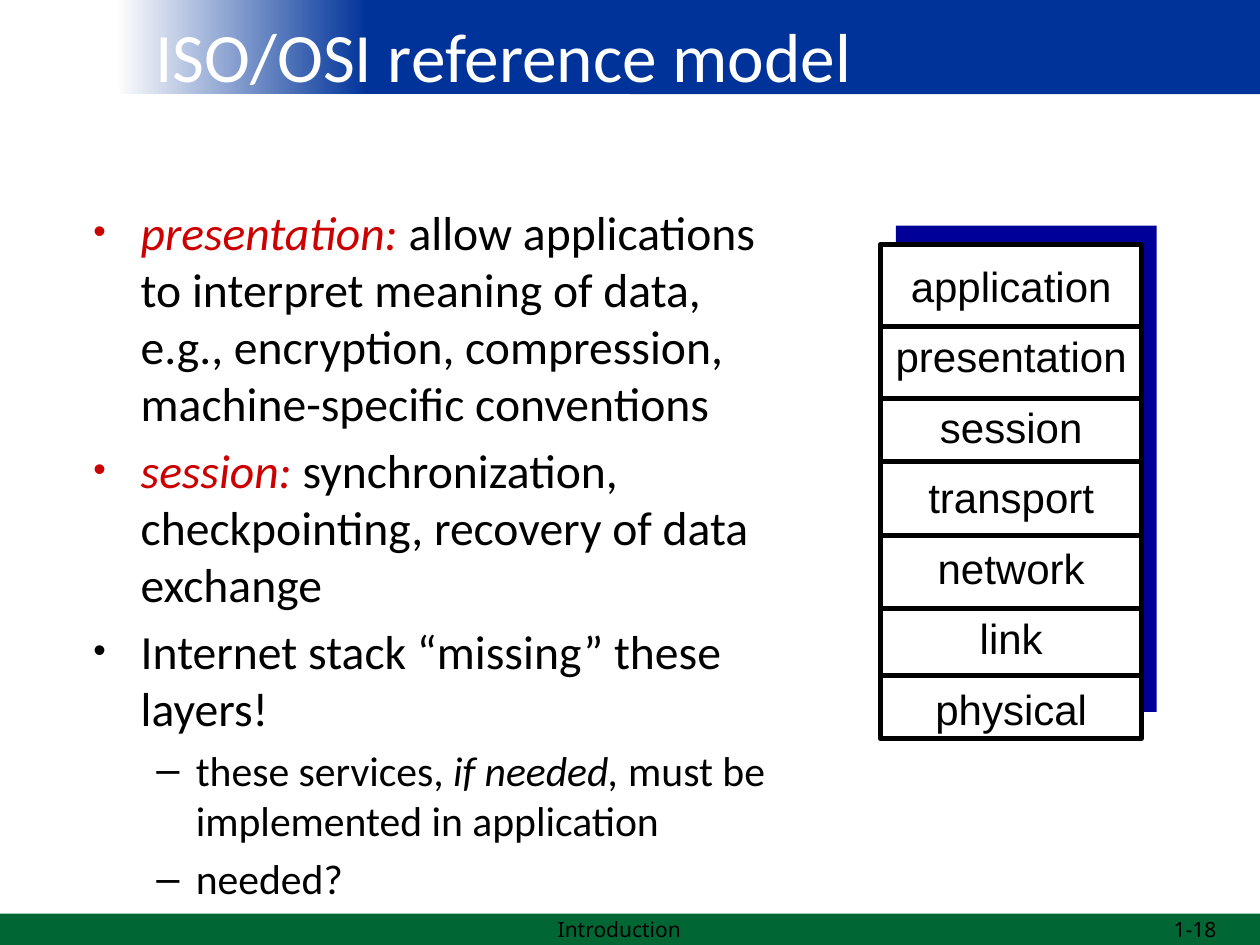
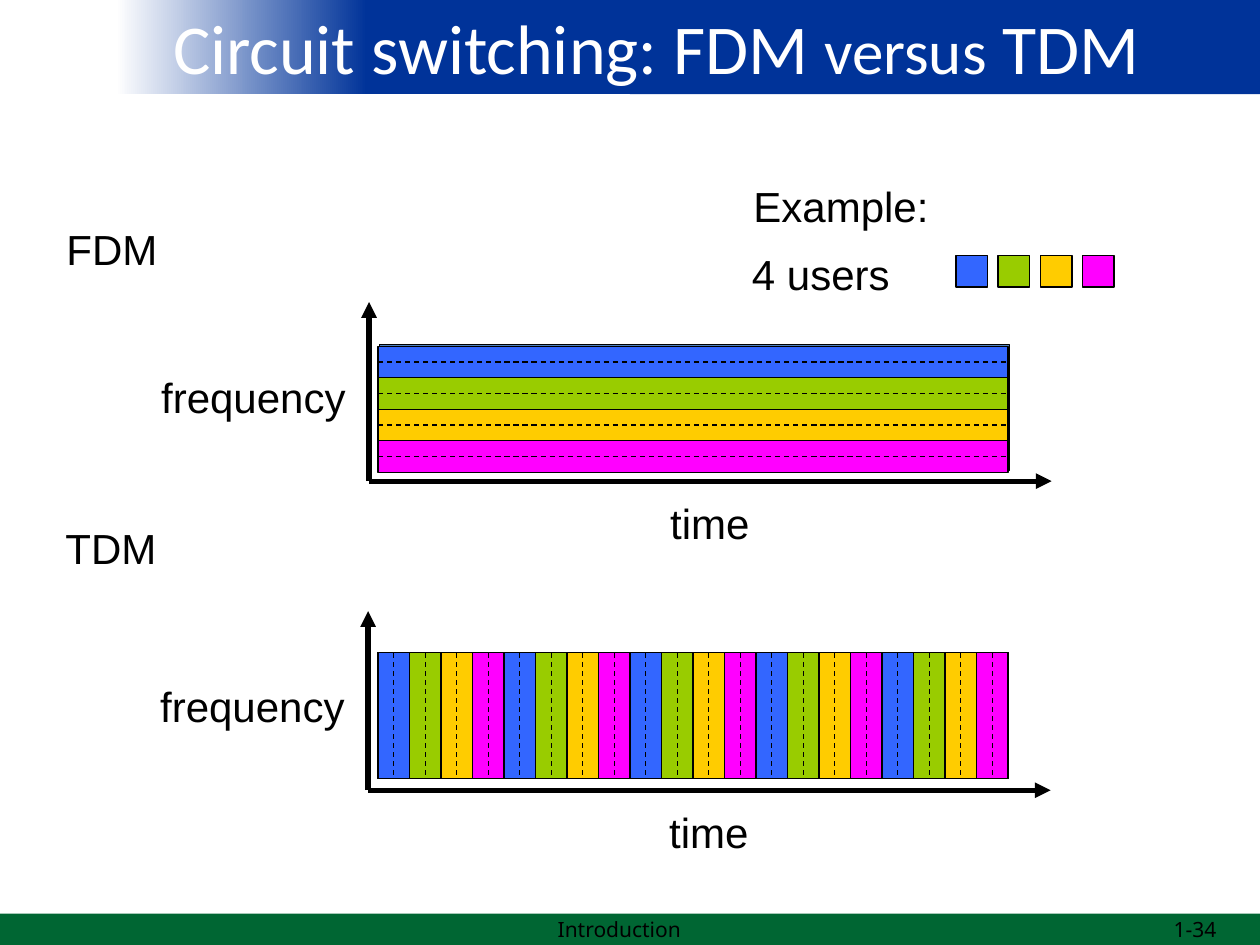
import pptx
import pptx.dml.color
import pptx.enum.dml
import pptx.enum.shapes
import pptx.enum.text
import pptx.oxml.ns
import pptx.util
import lxml.etree

Cm = pptx.util.Cm
Pt = pptx.util.Pt
qn = pptx.oxml.ns.qn
colour = pptx.dml.color.RGBColor.from_string
ALIGN = pptx.enum.text.PP_ALIGN
ANCHOR = pptx.enum.text.MSO_ANCHOR

BLACK = "000000"
WHITE = "FFFFFF"
BAND_BLUE = "003399"
BAND_GREEN = "006633"
SHADOW_BLUE = "000099"
TERM_RED = "CC0000"
PLOT_BLUE = "4F81BD"
USERS = ["3366FF", "99CC00", "FFCC00", "FF00FF"]
TITLE_FONT = "Calibri"
LABEL_FONT = "Arial"
FOOTER_FONT = "Noto Sans"


def draw_box(slide, left, top, width, height, fill, line_width=0):
    box = slide.shapes.add_shape(pptx.enum.shapes.MSO_SHAPE.RECTANGLE,
                                 Cm(left), Cm(top), Cm(width), Cm(height))
    box.shadow.inherit = False
    box.fill.solid()
    box.fill.fore_color.rgb = colour(fill)
    if line_width:
        box.line.color.rgb = colour(BLACK)
        box.line.width = Pt(line_width)
    else:
        box.line.fill.background()
    return box


def draw_line(slide, x1, y1, x2, y2, width, dashed=False, arrow=False):
    connector = slide.shapes.add_connector(pptx.enum.shapes.MSO_CONNECTOR.STRAIGHT,
                                           Cm(x1), Cm(y1), Cm(x2), Cm(y2))
    connector.line.color.rgb = colour(BLACK)
    connector.line.width = Pt(width)
    if dashed:
        connector.line.dash_style = pptx.enum.dml.MSO_LINE.DASH
    properties = connector.element.spPr
    if arrow:
        lxml.etree.SubElement(properties.find(qn("a:ln")), qn("a:tailEnd"), type="triangle")
    lxml.etree.SubElement(properties, qn("a:effectLst"))


presentation = pptx.Presentation()
presentation.slide_width = Cm(25.4)
presentation.slide_height = Cm(19.05)
layouts = presentation.slide_layouts
osi_slide = presentation.slides.add_slide(layouts.get_by_name("Title and Content"))
switching_slide = presentation.slides.add_slide(layouts.get_by_name("Title Only"))

title_band = draw_box(osi_slide, 12.7, 0, 12.7, 1.9, BAND_BLUE)
fading_band = draw_box(osi_slide, 1.9, 0, 10.8, 1.9, BAND_BLUE)
footer_band = draw_box(osi_slide, 0, 18.42, 25.4, 0.63, BAND_GREEN)
fading_band.fill.gradient()
fading_band.fill.gradient_angle = 180
stops = [(0.49, BAND_BLUE), (0.96, WHITE)]
for stop, (position, stop_colour) in zip(fading_band.fill.gradient_stops, stops):
    stop.position = position
    stop.color.rgb = colour(stop_colour)
master_shapes = presentation.slide_master.shapes.element
for index, band in enumerate([title_band, fading_band, footer_band]):
    band.element.nvSpPr.cNvPr.id = 20 + index
    master_shapes.insert(2 + index, band.element)

titles = [
    (osi_slide, (1.12, 0.23, 18.06, 1.73), [("ISO/OSI reference model", 39.6)]),
    (switching_slide, (1.47, -0.38, 23.52, 2.64),
     [("Circuit switching: FDM ", 40), ("versus", 36), (" TDM", 40)]),
]
for slide, (left, top, width, height), runs in titles:
    title = slide.shapes.title
    title.left, title.top, title.width, title.height = Cm(left), Cm(top), Cm(width), Cm(height)
    title.text_frame.auto_size = pptx.enum.text.MSO_AUTO_SIZE.NONE
    title.text_frame.vertical_anchor = ANCHOR.MIDDLE
    paragraph = title.text_frame.paragraphs[0]
    paragraph.alignment = ALIGN.CENTER
    for text, size in runs:
        run = paragraph.add_run()
        run.text = text
        run.font.name = TITLE_FONT
        run.font.size = Pt(size)
        run.font.color.rgb = colour(WHITE)

body = osi_slide.placeholders[1]
body.left, body.top, body.width, body.height = Cm(1.63), Cm(3.96), Cm(14.33), Cm(12.9)
body.text_frame.auto_size = pptx.enum.text.MSO_AUTO_SIZE.NONE
bullets = [
    (0, [("presentation:", TERM_RED, True),
         (" allow applications to interpret meaning of data, e.g., encryption, "
          "compression, machine-specific conventions", BLACK, False)]),
    (0, [("session:", TERM_RED, True),
         (" synchronization, checkpointing, recovery of data exchange", BLACK, False)]),
    (0, [("Internet stack “missing” these layers!", BLACK, False)]),
    (1, [("these services, ", BLACK, False), ("if needed,", BLACK, True),
         (" must be implemented in application", BLACK, False)]),
    (1, [("needed?", BLACK, False)]),
]
for index, (level, runs) in enumerate(bullets):
    paragraph = body.text_frame.add_paragraph() if index else body.text_frame.paragraphs[0]
    paragraph.level = level
    if level == 0:
        lxml.etree.SubElement(paragraph._p.get_or_add_pPr(), qn("a:buSzPct"), val="75000")
    for text, text_colour, italic in runs:
        run = paragraph.add_run()
        run.text = text
        run.font.name = TITLE_FONT
        run.font.size = Pt(23.8 if level else 27.2)
        run.font.italic = italic
        run.font.color.rgb = colour(text_colour)

draw_box(osi_slide, 18.06, 4.55, 5.26, 9.8, SHADOW_BLUE)
draw_box(osi_slide, 17.75, 4.93, 5.26, 9.96, WHITE, 3)
for y in [6.58, 8.03, 9.3, 10.8, 12.27, 13.61]:
    draw_line(osi_slide, 17.72, y, 22.96, y, 3)

layers = ["application", "presentation", "session", "transport", "network", "link", "physical"]
labels = [
    (osi_slide, layers, 17.63, 4.72, 5.51, 10.24, ALIGN.CENTER, LABEL_FONT),
    (switching_slide, ["Example:"], 14.94, 3.51, 4.04, 1.27, ALIGN.LEFT, LABEL_FONT),
    (switching_slide, ["4 users"], 14.91, 4.88, 3.3, 1.27, ALIGN.LEFT, LABEL_FONT),
    (switching_slide, ["FDM"], 1.09, 4.39, 2.34, 1.27, ALIGN.LEFT, LABEL_FONT),
    (switching_slide, ["TDM"], 1.07, 10.41, 2.34, 1.27, ALIGN.LEFT, LABEL_FONT),
]

plot_left, plot_width, plot_height = 7.62, 12.7, 2.54
fdm_top, tdm_top = 6.98, 13.16
for axis_left, axis_bottom in [(7.44, 9.7), (7.42, 15.93)]:
    draw_line(switching_slide, axis_left, axis_bottom, axis_left, axis_bottom - 3.61, 3, arrow=True)
    draw_line(switching_slide, axis_left, axis_bottom, axis_left + 13.76, axis_bottom, 3, arrow=True)
    labels.append((switching_slide, ["frequency"], axis_left - 4.44, axis_bottom - 2.34,
                   4.24, 1.27, ALIGN.LEFT, LABEL_FONT))
    labels.append((switching_slide, ["time"], axis_left + 5.82, axis_bottom + 0.2,
                   2.11, 1.27, ALIGN.LEFT, LABEL_FONT))

draw_box(switching_slide, 7.65, 6.95, plot_width, plot_height, PLOT_BLUE, 0.75)
draw_box(switching_slide, plot_left, tdm_top, plot_width, plot_height, PLOT_BLUE, 0.75)
band_height = plot_height / len(USERS)
slot_count = 20
slot_width = plot_width / slot_count
for index, user_colour in enumerate(USERS):
    draw_box(switching_slide, plot_left, fdm_top + index * band_height,
             plot_width, band_height, user_colour, 0.75)
    draw_box(switching_slide, 19.27 + index * 0.85, 5.15, 0.64, 0.64, user_colour, 0.75)
for slot in range(slot_count):
    draw_box(switching_slide, plot_left + slot * slot_width, tdm_top,
             slot_width, plot_height, USERS[slot % len(USERS)], 0.75)

for half in range(1, 2 * len(USERS)):
    y = fdm_top + half * band_height / 2
    draw_line(switching_slide, plot_left, y, plot_left + plot_width, y, 0.75, dashed=half % 2 == 1)
for half in range(1, 2 * slot_count):
    x = plot_left + half * slot_width / 2
    draw_line(switching_slide, x, tdm_top, x, tdm_top + plot_height, 0.75, dashed=half % 2 == 1)

for slide, number in [(osi_slide, "1-18"), (switching_slide, "1-34")]:
    labels.append((slide, ["Introduction"], 8.46, 18.42, 8.05, 0.63, ALIGN.CENTER, FOOTER_FONT))
    labels.append((slide, [number], 18.85, 18.42, 5.92, 0.63, ALIGN.RIGHT, FOOTER_FONT))

for slide, lines, left, top, width, height, alignment, font_name in labels:
    in_footer = font_name == FOOTER_FONT
    text_frame = slide.shapes.add_textbox(Cm(left), Cm(top), Cm(width), Cm(height)).text_frame
    text_frame.word_wrap = alignment != ALIGN.LEFT
    text_frame.vertical_anchor = ANCHOR.MIDDLE if in_footer else ANCHOR.TOP
    for index, line in enumerate(lines):
        paragraph = text_frame.add_paragraph() if index else text_frame.paragraphs[0]
        paragraph.alignment = alignment
        if len(lines) > 1:
            paragraph.line_spacing = Pt(40.3)
        run = paragraph.add_run()
        run.text = line
        run.font.name = font_name
        run.font.size = Pt(12 if in_footer else 24)
        run.font.color.rgb = colour(BLACK)

presentation.save("out.pptx")
